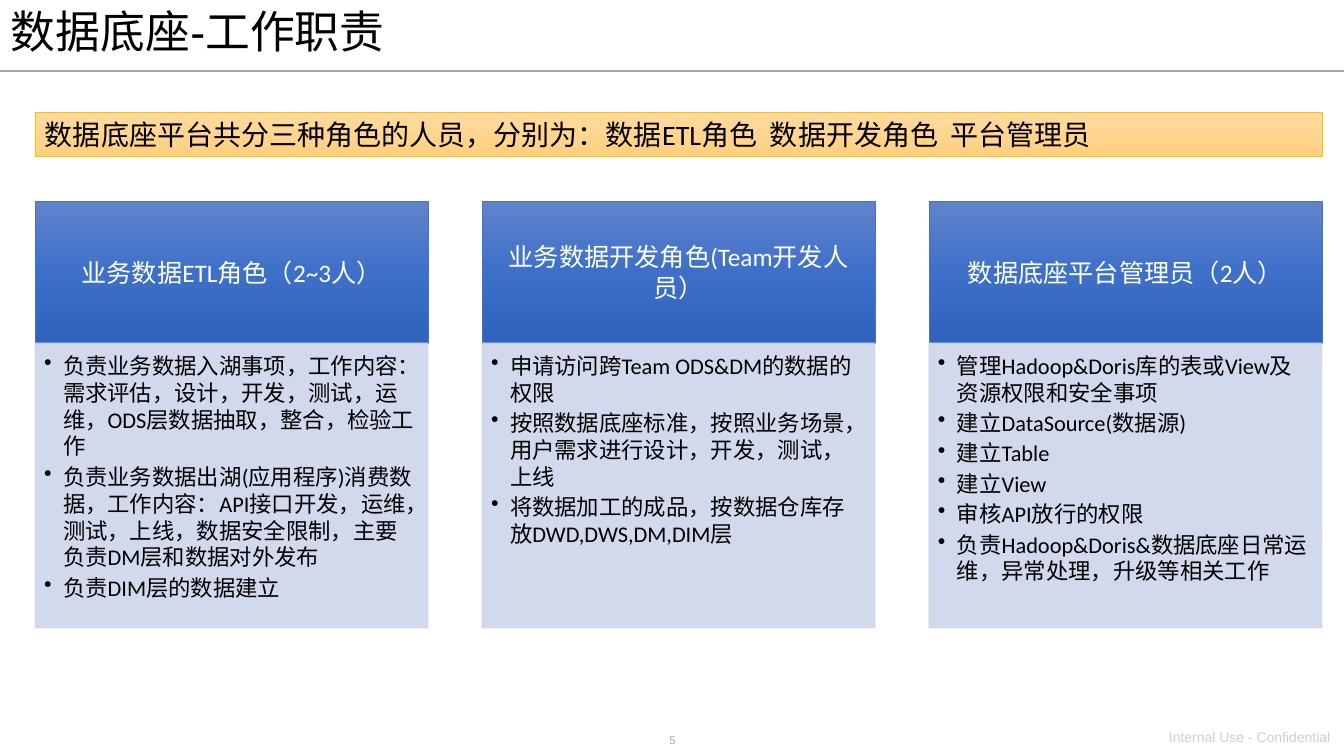
"""Build the slide on the duties of the three data platform roles."""
from lxml.etree import SubElement
from pptx import Presentation
from pptx.dml.color import RGBColor
from pptx.enum.shapes import MSO_CONNECTOR, MSO_SHAPE
from pptx.enum.text import MSO_ANCHOR, PP_ALIGN
from pptx.oxml.ns import qn
from pptx.util import Emu, Pt

TITLE = "数据底座-工作职责"
BANNER = "数据底座平台共分三种角色的人员，分别为：数据ETL角色  数据开发角色  平台管理员"
PAGE = "5"
FOOTER = "Internal Use - Confidential"
ROLES = [
    ("业务数据ETL角色（2~3人）", [
        "负责业务数据入湖事项，工作内容：需求评估，设计，开发，测试，运维，ODS层数据抽取，整合，检验工作",
        "负责业务数据出湖(应用程序)消费数据，工作内容：API接口开发，运维，测试，上线，数据安全限制，主要负责DM层和数据对外发布",
        "负责DIM层的数据建立",
    ]),
    ("业务数据开发角色(Team开发人员）", [
        "申请访问跨Team ODS&DM的数据的权限",
        "按照数据底座标准，按照业务场景，用户需求进行设计，开发，测试，上线",
        "将数据加工的成品，按数据仓库存放DWD,DWS,DM,DIM层",
    ]),
    ("数据底座平台管理员（2人）", [
        "管理Hadoop&Doris库的表或View及资源权限和安全事项",
        "建立DataSource(数据源)",
        "建立Table",
        "建立View",
        "审核API放行的权限",
        "负责Hadoop&Doris&数据底座日常运维，异常处理，升级等相关工作",
    ]),
]

BLUES = ["6183CB", "3E70CA", "3062BB"]
AMBERS = ["FFDB9E", "FFD590", "FFD07C"]
PALE = "CFD5EA"
FORMATS = {
    "title": {"name": "Arial", "size": Pt(32), "color": "000000"},
    "banner": {"name": "Calibri", "size": Pt(20), "color": "000000"},
    "role": {"name": "Calibri", "size": Pt(18), "color": "FFFFFF"},
    "duty": {"name": "Calibri", "size": Pt(16), "color": "000000"},
    "page": {"name": "Arial", "size": Pt(8), "color": "A6A6A6"},
    "footer": {"name": "Arial", "size": Pt(10), "color": "D0CECE"},
}
WIDTH, HEIGHT = 1344, 756
LEFT, SPAN, CARD_W = 35, 1287, 393
HEAD_TOP, HEAD_H, BODY_H = 201, 142, 285
PITCH = (SPAN - CARD_W) // (len(ROLES) - 1)
INDENT, OPACITY = 19, 90


def px(n):
    return Emu(round(n * 914400 / 100.8))


def rgb(color):
    return RGBColor.from_string(color)


def write(sp, lines, style, insets=(10, 5, 10, 5), anchor=MSO_ANCHOR.TOP,
          bullet=False, **layout):
    tf = sp.text_frame
    tf.word_wrap = True
    tf.vertical_anchor = anchor
    for side, inset in zip(("left", "top", "right", "bottom"), insets):
        setattr(tf, f"margin_{side}", px(inset))
    for i, line in enumerate(lines):
        p = tf.paragraphs[0] if i == 0 else tf.add_paragraph()
        for key, value in ({"alignment": PP_ALIGN.LEFT} | layout).items():
            setattr(p, key, value)
        if bullet:
            pPr = p._p.get_or_add_pPr()
            pPr.set("marL", str(px(INDENT)))
            pPr.set("indent", str(px(-INDENT)))
            SubElement(pPr, qn("a:buChar"), char="•")
        r = p.add_run()
        r.text = line
        for key, value in FORMATS[style].items():
            if key == "color":
                r.font.color.rgb = rgb(value)
            else:
                setattr(r.font, key, value)


def add_text(s, box, text, style, **layout):
    write(s.shapes.add_textbox(*map(px, box)), [text], style, **layout)


def add_box(s, box, line):
    sp = s.shapes.add_shape(MSO_SHAPE.RECTANGLE, *map(px, box))
    sp.shadow.inherit = False
    sp.line.color.rgb = rgb(line)
    sp.line.width = Pt(0.5)
    return sp


def shade(sp, colors):
    sp.fill.gradient()
    sp.fill.gradient_angle = 270
    stops = sp._element.spPr.find(".//" + qn("a:gsLst"))
    stops.clear()
    for i, color in enumerate(colors):
        gs = SubElement(stops, qn("a:gs"), pos=str(100000 * i // (len(colors) - 1)))
        SubElement(gs, qn("a:srgbClr"), val=color)


def add_role(s, left, role, duties):
    head = add_box(s, (left, HEAD_TOP, CARD_W, HEAD_H), "4472C4")
    shade(head, BLUES)
    write(head, [role], "role", (14, 8, 14, 8), MSO_ANCHOR.MIDDLE,
          alignment=PP_ALIGN.CENTER)
    body = add_box(s, (left, HEAD_TOP + HEAD_H, CARD_W, BODY_H), PALE)
    body.fill.solid()
    body.fill.fore_color.rgb = rgb(PALE)
    for clr in body._element.spPr.iter(qn("a:srgbClr")):
        SubElement(clr, qn("a:alpha"), val=str(OPACITY * 1000))
    write(body, duties, "duty", (9, 9, 12, 14), bullet=True, space_after=Pt(2.5))


def main():
    prs = Presentation()
    prs.slide_width, prs.slide_height = px(WIDTH), px(HEIGHT)
    s = prs.slides.add_slide(prs.slide_layouts[6])

    rule = s.shapes.add_connector(MSO_CONNECTOR.STRAIGHT, *map(px, (0, 71, WIDTH, 71)))
    rule.line.color.rgb = rgb("A6A6A6")
    rule.line.width = Pt(1)
    SubElement(rule._element.spPr, qn("a:effectLst"))

    add_text(s, (584, 728, 177, 24), PAGE, "page", alignment=PP_ALIGN.CENTER)
    add_text(s, (1159, 724, 185, 27), FOOTER, "footer")
    add_text(s, (1, -1, 1061, 69), TITLE, "title", anchor=MSO_ANCHOR.MIDDLE,
             line_spacing=0.9)
    for i, (role, duties) in enumerate(ROLES):
        add_role(s, LEFT + i * PITCH, role, duties)
    banner = add_box(s, (LEFT, 112, SPAN, 44), "FFC000")
    shade(banner, AMBERS)
    write(banner, [BANNER], "banner")

    prs.save("out.pptx")


if __name__ == "__main__":
    main()
